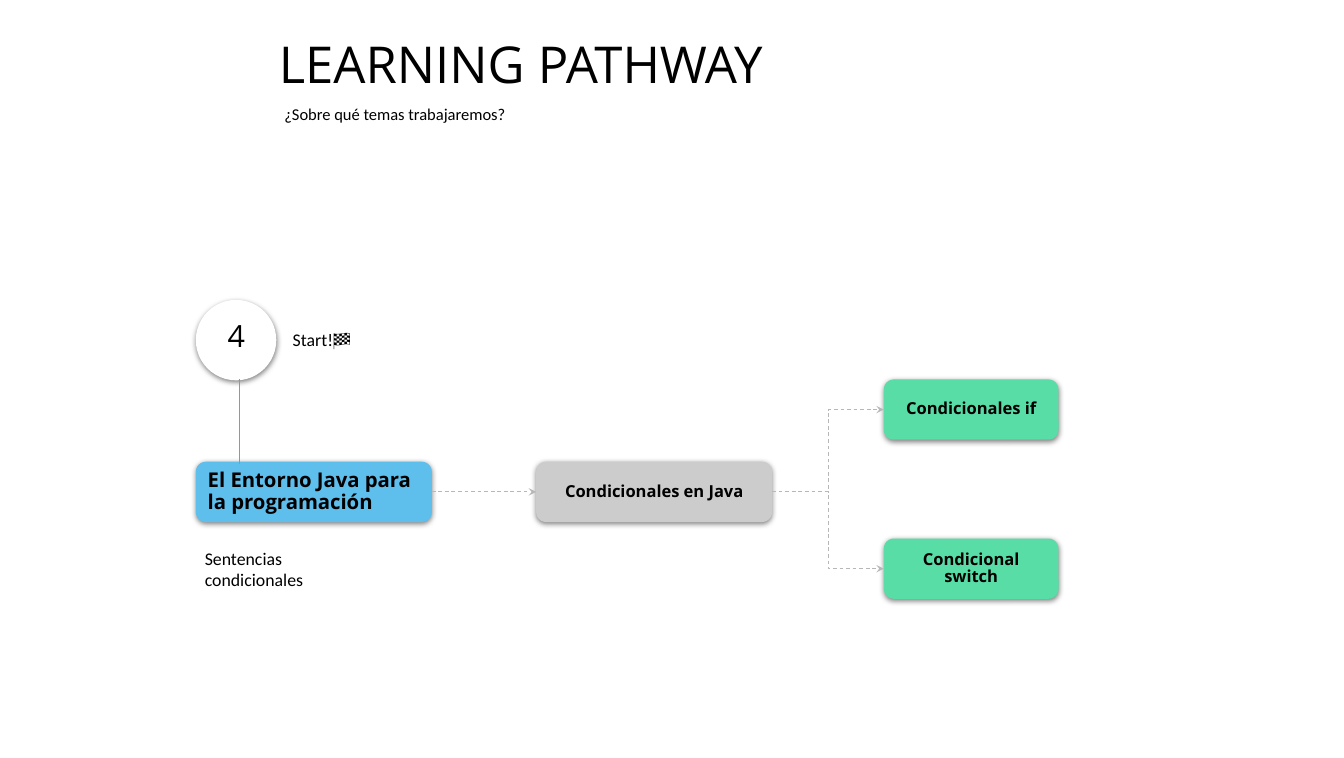
import dataclasses

import lxml.etree
import pptx
import pptx.dml.color
import pptx.enum.dml
import pptx.enum.shapes
import pptx.enum.text
import pptx.oxml
import pptx.oxml.ns
import pptx.util

EMU_PER_PX = 9144
HEADING_FONT = "Open Sans"
BODY_FONT = "Calibri"
LINE_WIDTH = pptx.util.Pt(0.75)
TOP, LEFT, BOTTOM, RIGHT = range(4)
SHAPE_TYPE = pptx.enum.shapes.MSO_SHAPE
CONNECTOR_TYPE = pptx.enum.shapes.MSO_CONNECTOR
ALIGNMENT = pptx.enum.text.PP_ALIGN


@dataclasses.dataclass(frozen=True)
class Topic:
    text: str
    left: int
    top: int
    width: int
    fill: str
    size: int = 13
    alignment: pptx.enum.text.PP_ALIGN = ALIGNMENT.CENTER


@dataclasses.dataclass(frozen=True)
class Label:
    text: str
    left: int
    top: int
    width: int
    height: int
    size: int
    font: str = BODY_FONT


TOPIC_HEIGHT = 66
ENVIRONMENT = Topic("El Entorno Java para la programación", 214, 505, 258, "5EBEEC",
                    16, ALIGNMENT.LEFT)
CONDITIONALS = Topic("Condicionales en Java", 586, 505, 258, "CCCCCC")
IF_TOPIC = Topic("Condicionales if", 966, 415, 191, "58DDA6")
SWITCH_TOPIC = Topic("Condicional switch", 966, 589, 191, "58DDA6")
TOPICS = [ENVIRONMENT, CONDITIONALS, IF_TOPIC, SWITCH_TOPIC]
ARROWS = [(ENVIRONMENT, CONDITIONALS), (CONDITIONALS, IF_TOPIC), (CONDITIONALS, SWITCH_TOPIC)]

STEP_NUMBER = Label("4", 239, 341, 71, 61, 24, HEADING_FONT)
LABELS = [
    Label("LEARNING PATHWAY", 295, 33, 724, 88, 40, HEADING_FONT),
    Label("¿Sobre qué temas trabajaremos?", 301, 104, 420, 42, 13),
    Label("Start!🏁", 310, 350, 112, 44, 14),
    Label("Sentencias condicionales", 214, 589, 183, 67, 14),
]


def px(length: int) -> pptx.util.Emu:
    return pptx.util.Emu(length * EMU_PER_PX)


def color(value: str) -> pptx.dml.color.RGBColor:
    return pptx.dml.color.RGBColor.from_string(value)


def write_text(shape, text: str, *, size: int, font: str, bold: bool = False,
               alignment=ALIGNMENT.LEFT, anchor=pptx.enum.text.MSO_ANCHOR.TOP,
               auto_size=pptx.enum.text.MSO_AUTO_SIZE.NONE) -> None:
    frame = shape.text_frame
    frame.word_wrap = True
    frame.auto_size = auto_size
    frame.vertical_anchor = anchor
    frame.margin_left = frame.margin_right = px(10)
    frame.margin_top = frame.margin_bottom = px(10)
    paragraph = frame.paragraphs[0]
    paragraph.alignment = alignment
    paragraph.line_spacing = 0.9 if font == HEADING_FONT else 1.0
    run = paragraph.add_run()
    run.text = text
    run.font.size = pptx.util.Pt(size)
    run.font.name = font
    run.font.bold = bold
    run.font.color.rgb = color("000000")


def add_label(shapes, label: Label) -> None:
    box = shapes.add_textbox(px(label.left), px(label.top), px(label.width), px(label.height))
    write_text(box, label.text, size=label.size, font=label.font,
               auto_size=pptx.enum.text.MSO_AUTO_SIZE.SHAPE_TO_FIT_TEXT)


def add_raised_shape(shapes, kind, left: int, top: int, width: int, height: int, fill: str):
    """Add a borderless filled shape with a soft shadow below it."""
    shape = shapes.add_shape(kind, px(left), px(top), px(width), px(height))
    shape.fill.solid()
    shape.fill.fore_color.rgb = color(fill)
    shape.line.fill.background()
    shape.shadow.inherit = False
    effects = shape._element.spPr.find(pptx.oxml.ns.qn("a:effectLst"))
    effects.append(pptx.oxml.parse_xml(
        f'<a:outerShdw {pptx.oxml.ns.nsdecls("a")} blurRad="57150" dist="19050" dir="5400000" '
        'algn="bl" rotWithShape="0"><a:srgbClr val="000000"><a:alpha val="50000"/>'
        '</a:srgbClr></a:outerShdw>'))
    return shape


def add_topic(shapes, topic: Topic):
    shape = add_raised_shape(shapes, SHAPE_TYPE.ROUNDED_RECTANGLE, topic.left, topic.top,
                             topic.width, TOPIC_HEIGHT, topic.fill)
    write_text(shape, topic.text, size=topic.size, font=HEADING_FONT, bold=True,
               alignment=topic.alignment, anchor=pptx.enum.text.MSO_ANCHOR.MIDDLE)
    return shape


def add_line(shapes, kind, start: tuple[int, int], end: tuple[int, int], line_color: str):
    connector = shapes.add_connector(kind, *map(px, start + end))
    connector.line.width = LINE_WIDTH
    connector.line.color.rgb = color(line_color)
    lxml.etree.SubElement(connector._element.spPr, pptx.oxml.ns.qn("a:effectLst"))
    return connector


def add_arrow(shapes, source, target) -> None:
    """Join the right side of one topic to the left side of the next."""
    arrow = add_line(shapes, CONNECTOR_TYPE.ELBOW, (0, 0), (0, 0), "B7B7B7")
    arrow.begin_connect(source, RIGHT)
    arrow.end_connect(target, LEFT)
    arrow.line.dash_style = pptx.enum.dml.MSO_LINE.DASH
    line = arrow._element.spPr.find(pptx.oxml.ns.qn("a:ln"))
    lxml.etree.SubElement(line, pptx.oxml.ns.qn("a:tailEnd"), type="stealth")


def main() -> None:
    presentation = pptx.Presentation()
    presentation.slide_width = px(1469)
    presentation.slide_height = px(829)
    slide = presentation.slides.add_slide(presentation.slide_layouts[6])
    shapes = slide.shapes

    for label in LABELS:
        add_label(shapes, label)
    step = shapes.add_group_shape().shapes
    add_raised_shape(step, SHAPE_TYPE.OVAL, 214, 328, 88, 88, "FFFFFF")
    add_label(step, STEP_NUMBER)

    topic_shapes = {topic: add_topic(shapes, topic) for topic in TOPICS}
    add_line(shapes, CONNECTOR_TYPE.STRAIGHT, (262, 415), (262, 507), "33B7EE")
    for source, target in ARROWS:
        add_arrow(shapes, topic_shapes[source], topic_shapes[target])

    presentation.save("out.pptx")


if __name__ == "__main__":
    main()
